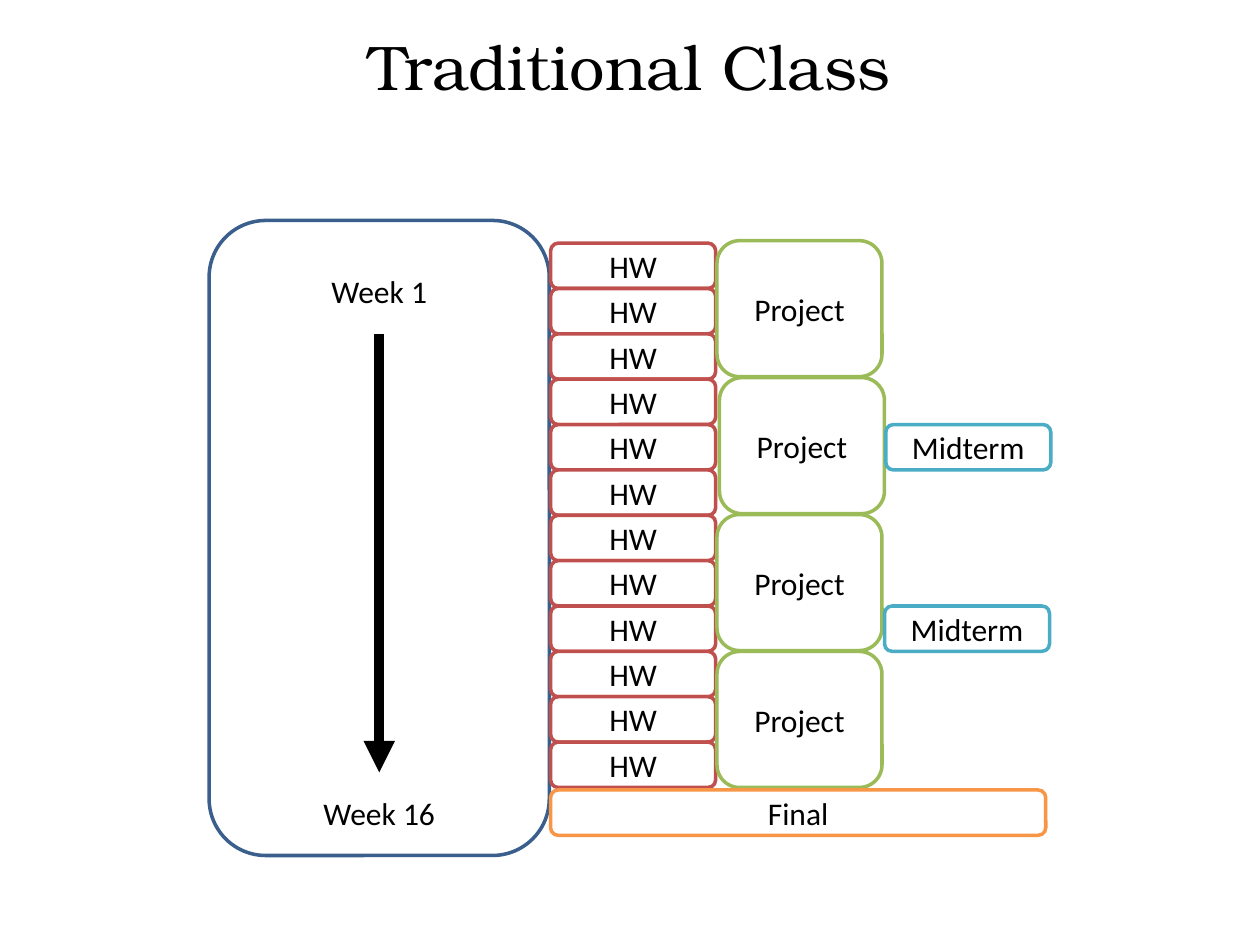
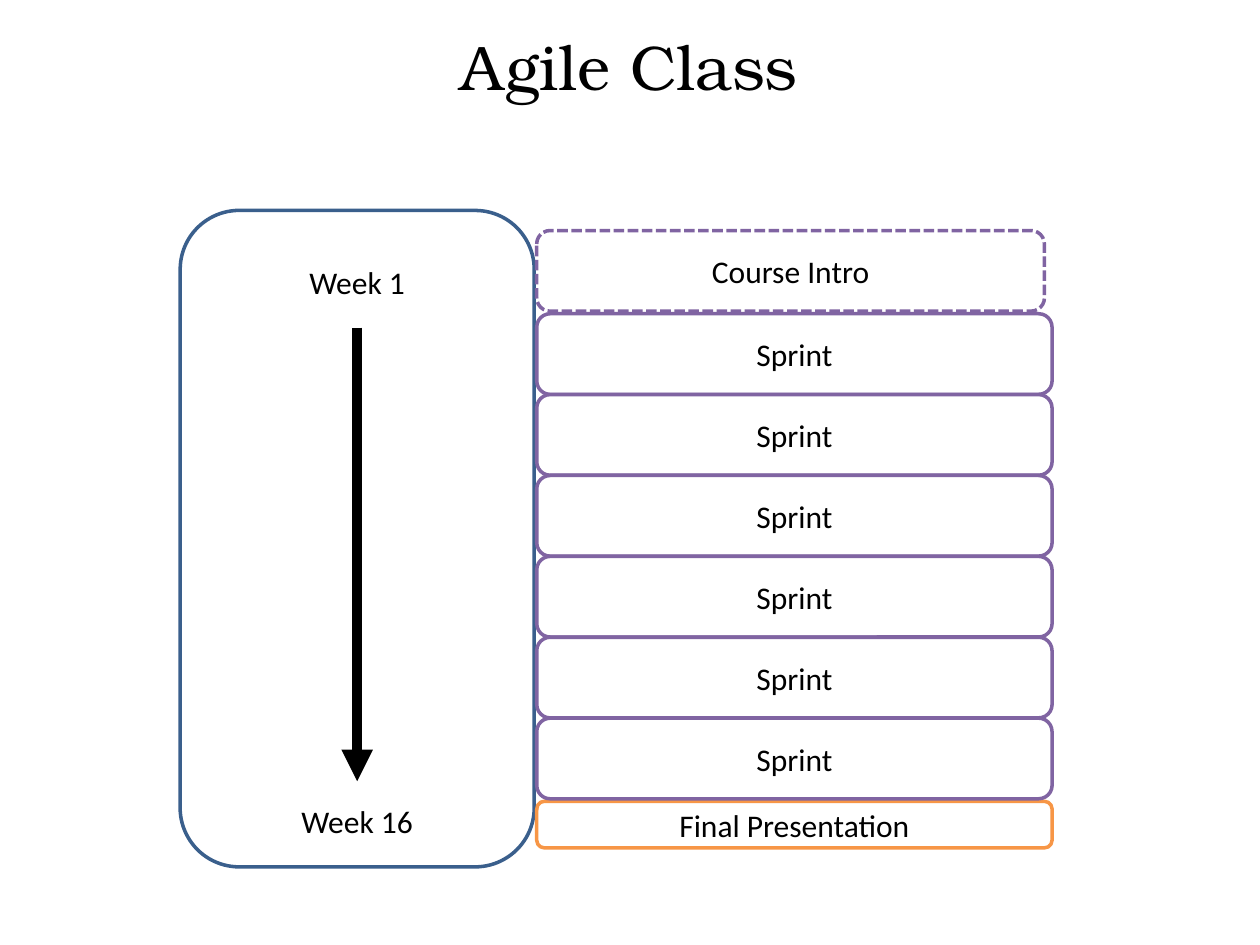
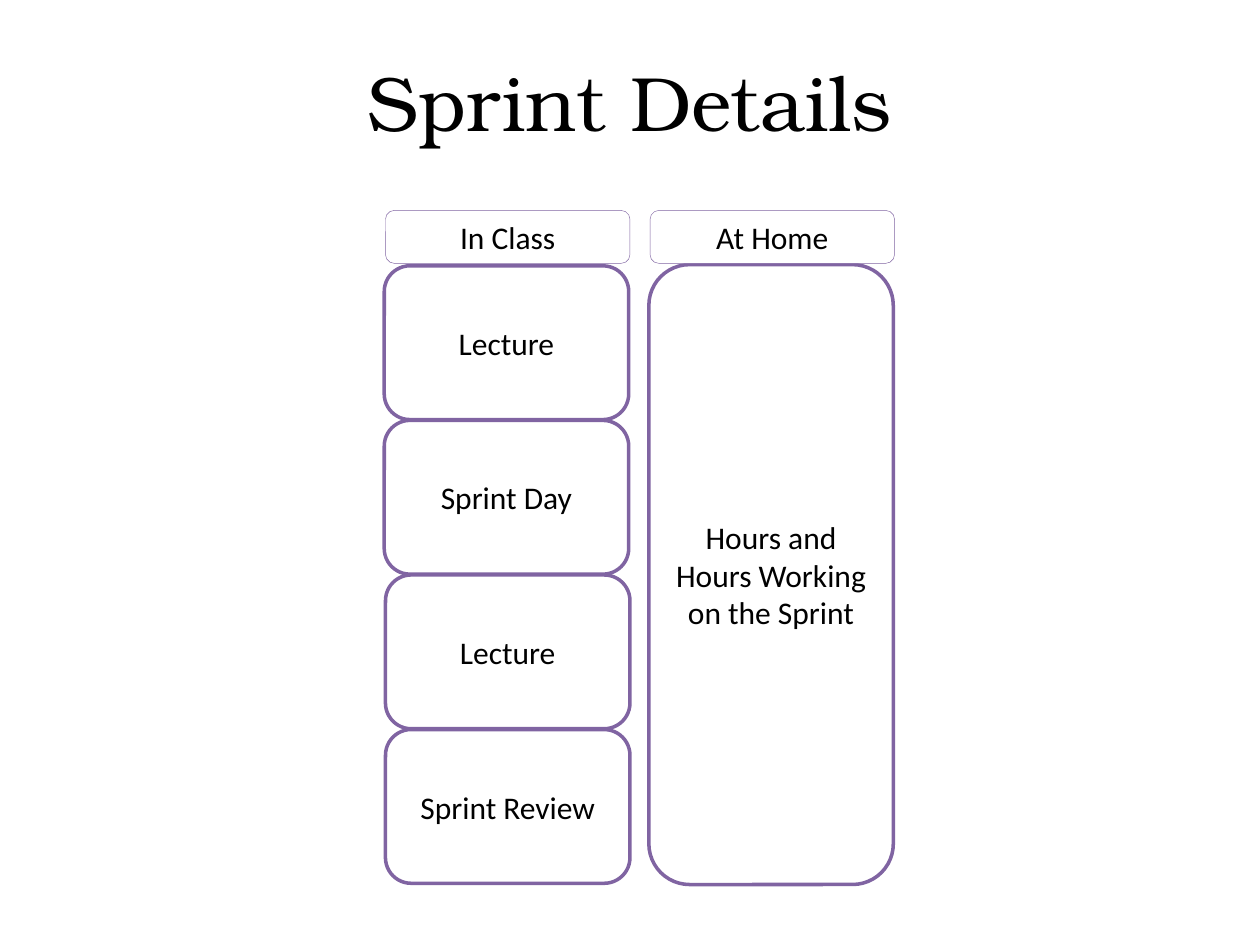
"""Builds three slides that compare a traditional class with an agile one."""
from pptx import Presentation
from pptx.dml.color import RGBColor
from pptx.enum.dml import MSO_LINE
from pptx.enum.shapes import MSO_CONNECTOR, MSO_SHAPE
from pptx.enum.text import MSO_ANCHOR, MSO_AUTO_SIZE, PP_ALIGN
from pptx.oxml.ns import qn
from pptx.util import Inches, Pt
from lxml import etree

ROUNDED, RECT = MSO_SHAPE.ROUNDED_RECTANGLE, MSO_SHAPE.RECTANGLE
STRAIGHT = MSO_CONNECTOR.STRAIGHT
SHORT_DASH = MSO_LINE.SQUARE_DOT
TOP, MIDDLE = MSO_ANCHOR.TOP, MSO_ANCHOR.MIDDLE
GROW, FIXED = MSO_AUTO_SIZE.SHAPE_TO_FIT_TEXT, MSO_AUTO_SIZE.NONE
CENTER = PP_ALIGN.CENTER

COLORS = {
    "paper": "FFFFFF",
    "ink": "000000",
    "timeline": "3A5F8C",
    "homework": "C0504D",
    "project": "9BBB59",
    "midterm": "4BACC6",
    "final": "F79646",
    "sprint": "8064A2",
}
BODY_FONT = {"name": "Calibri", "size": Pt(18)}
TITLE_FONT = {"name": "TeX Gyre Bonum", "size": Pt(36)}
CENTERED_FRAME = {"word_wrap": True, "vertical_anchor": MIDDLE, "auto_size": FIXED}
GROWING_FRAME = {"word_wrap": True, "vertical_anchor": TOP, "auto_size": GROW}


def color(name):
    """Return the named colour."""
    return RGBColor.from_string(COLORS[name])


def apply_format(target, values):
    """Set each attribute of target from a dict of values."""
    for attribute, value in values.items():
        setattr(target, attribute, value)


def write_text(shape, wording, font, frame_format):
    """Put centred black text into a shape."""
    frame = shape.text_frame
    apply_format(frame, frame_format)
    paragraph = frame.paragraphs[0]
    paragraph.alignment = CENTER
    run = paragraph.add_run()
    run.text = wording
    apply_format(run.font, font)
    run.font.color.rgb = color("ink")


def add_title(slide, wording, box=(0.33, 0.17, 9.33, 0.71), size=36, frame=GROWING_FRAME):
    """Add the slide title."""
    title = slide.shapes.add_textbox(*map(Inches, box))
    write_text(title, wording, {**TITLE_FONT, "size": Pt(size)}, frame)


def add_block(group, box, outline, wording="", width=2, dash=None):
    """Add a rounded block, filled white when it holds wording."""
    block = group.shapes.add_shape(ROUNDED, *map(Inches, box))
    block.shadow.inherit = False
    apply_format(block.line, {"width": Pt(width), "dash_style": dash})
    block.line.color.rgb = color(outline)
    if wording:
        block.fill.solid()
        block.fill.fore_color.rgb = color("paper")
        write_text(block, wording, BODY_FONT, CENTERED_FRAME)
    else:
        block.fill.background()


def add_week_label(group, box, wording):
    """Add a borderless label inside the timeline."""
    label = group.shapes.add_shape(RECT, *map(Inches, box))
    label.shadow.inherit = False
    label.fill.solid()
    label.fill.fore_color.rgb = color("paper")
    label.line.fill.background()
    write_text(label, wording, BODY_FONT, GROWING_FRAME)


def add_down_arrow(group, center, start, end):
    """Add the thick arrow that runs down the timeline."""
    arrow = group.shapes.add_connector(
        STRAIGHT, Inches(center), Inches(start), Inches(center), Inches(end))
    arrow.line.width = Pt(6)
    arrow.line.color.rgb = color("ink")
    etree.SubElement(arrow.line._get_or_add_ln(), qn("a:tailEnd"), type="triangle")
    etree.SubElement(arrow._element.spPr, qn("a:effectLst"))


def add_timeline(group, box, label_size, label_tops, arrow_span):
    """Add the course timeline from week 1 to week 16."""
    left, _, width, _ = box
    center = left + width / 2
    add_block(group, box, "timeline")
    label_width, label_height = label_size
    for wording, top in zip(("Week 1", "Week 16"), label_tops):
        add_week_label(
            group, (center - label_width / 2, top, label_width, label_height), wording)
    add_down_arrow(group, center, *arrow_span)


def add_stack(group, lefts, first, last, size, outline, wordings):
    """Add blocks at equal steps from the first top to the last."""
    step = (last - first) / (len(wordings) - 1)
    for index, (left, wording) in enumerate(zip(lefts, wordings)):
        add_block(group, (left, first + index * step, *size), outline, wording)


def build_traditional(slide):
    """Draw the class made of homework, projects and exams."""
    plan = slide.shapes.add_group_shape()
    add_timeline(plan, (1.66, 1.75, 2.7, 5.04), (2.22, 0.29), (2.11, 6.25), (2.65, 6.13))
    add_stack(plan, [4.37] * 12, 1.93, 5.89, (1.31, 0.36), "homework", ["HW"] * 12)
    add_stack(plan, (5.69, 5.71, 5.69, 5.69), 1.91, 5.17, (1.31, 1.08),
              "project", ["Project"] * 4)
    add_stack(plan, (7.03, 7.02), 3.37, 4.81, (1.31, 0.36), "midterm", ["Midterm"] * 2)
    add_block(plan, (4.37, 6.27, 3.93, 0.36), "final", "Final")
    add_title(slide, "Traditional Class")


def build_agile(slide):
    """Draw the class made of sprints."""
    add_title(slide, "Agile Class")
    plan = slide.shapes.add_group_shape()
    add_timeline(plan, (1.43, 1.67, 2.81, 5.21), (2.31, 0.3), (2.04, 6.32), (2.6, 6.2))
    add_block(plan, (4.26, 6.36, 4.09, 0.37), "final", "Final Presentation")
    add_block(plan, (4.26, 1.83, 4.03, 0.64), "sprint", "Course Intro", dash=SHORT_DASH)
    add_stack(plan, [4.26] * 6, 2.49, 5.7, (4.09, 0.64), "sprint", ["Sprint"] * 6)


def build_sprint_details(slide):
    """Draw the parts of one sprint in class and at home."""
    add_title(slide, "Sprint Details", (0.5, 0.17, 9, 1.25), 44, CENTERED_FRAME)
    sprint = slide.shapes.add_group_shape()
    add_stack(sprint, (3.05, 3.05, 3.06, 3.06), 2.11, 5.79, (1.94, 1.22), "sprint",
              ("Lecture", "Sprint Day", "Lecture", "Sprint Review"))
    add_block(sprint, (5.15, 2.1, 1.94, 4.92), "sprint",
              "Hours and Hours Working on the Sprint")
    for left, place in ((3.06, "In Class"), (5.16, "At Home")):
        add_block(sprint, (left, 1.67, 1.94, 0.42), "sprint", place, width=0.25)


def main():
    """Build and save the presentation."""
    deck = Presentation()
    apply_format(deck, {"slide_width": Inches(10), "slide_height": Inches(7.5)})
    blank = deck.slide_layouts[6]
    for build in (build_traditional, build_agile, build_sprint_details):
        slide = deck.slides.add_slide(blank)
        slide.background.fill.solid()
        slide.background.fill.fore_color.rgb = color("paper")
        build(slide)
    deck.save("out.pptx")


main()
